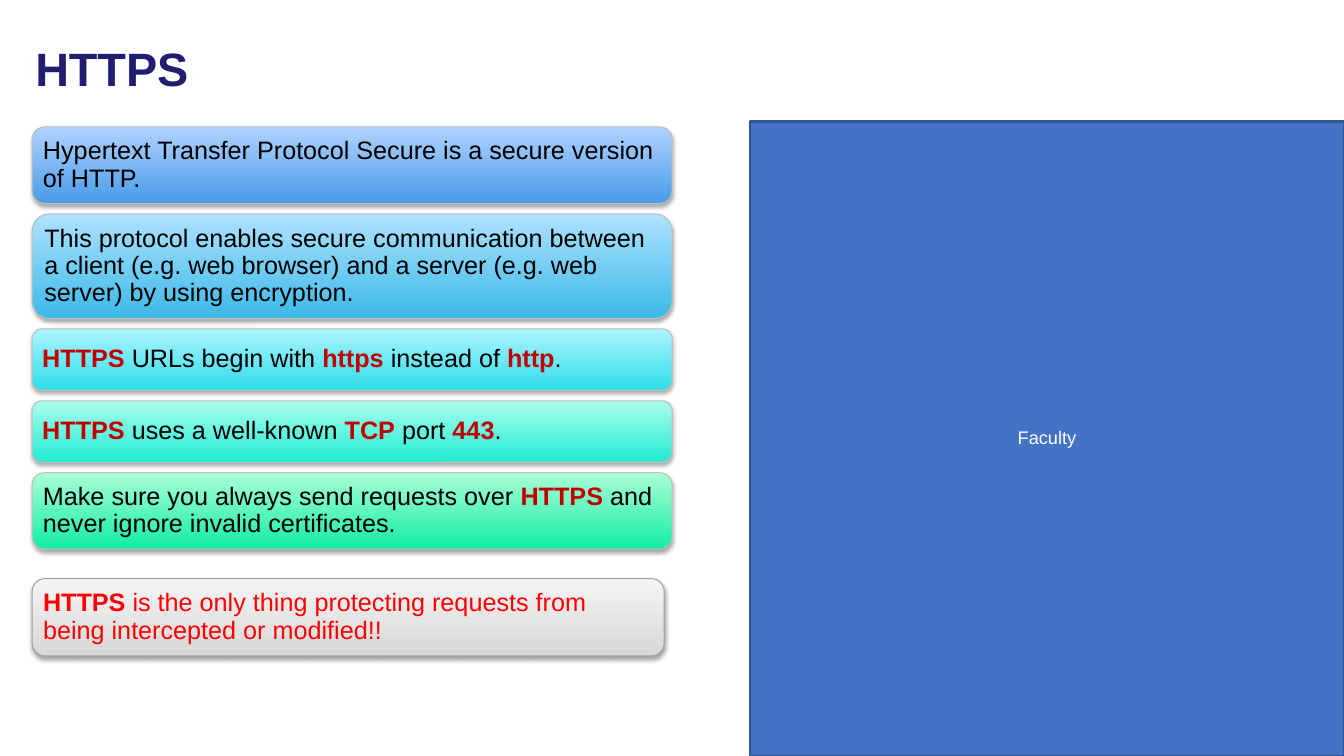
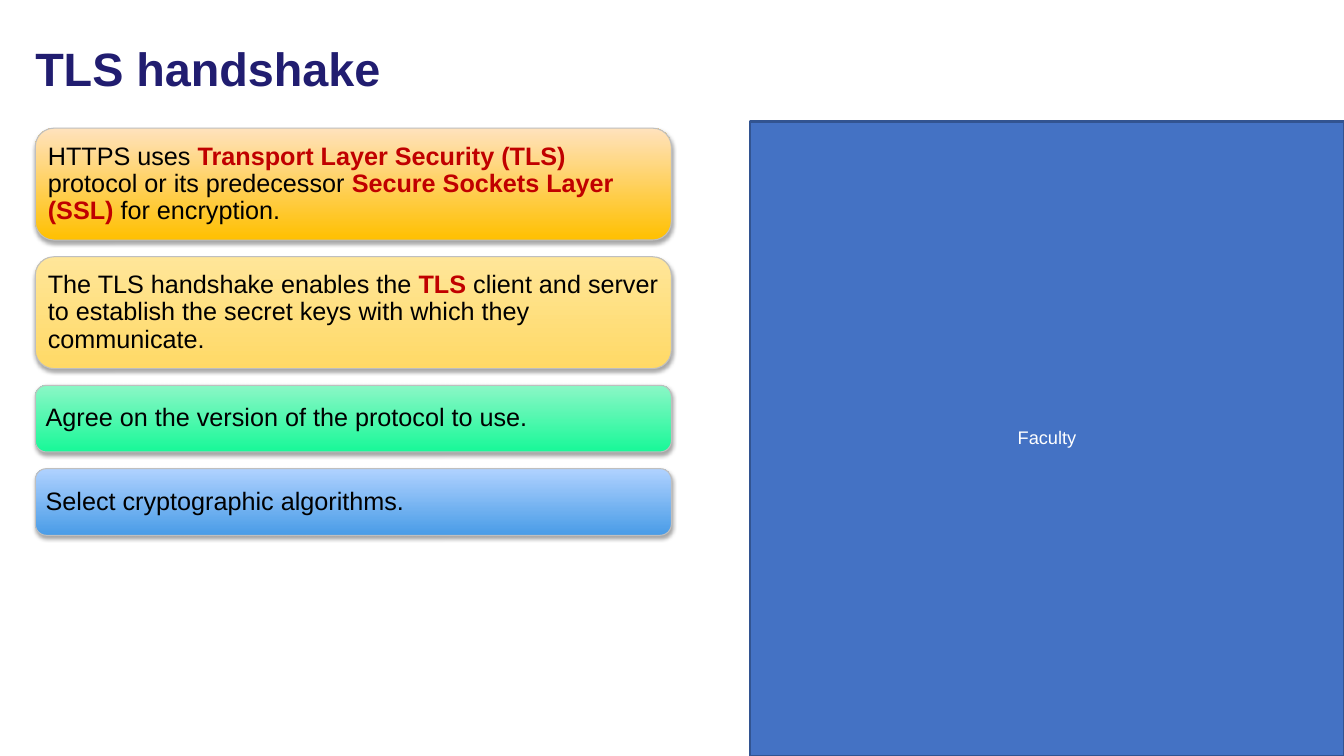
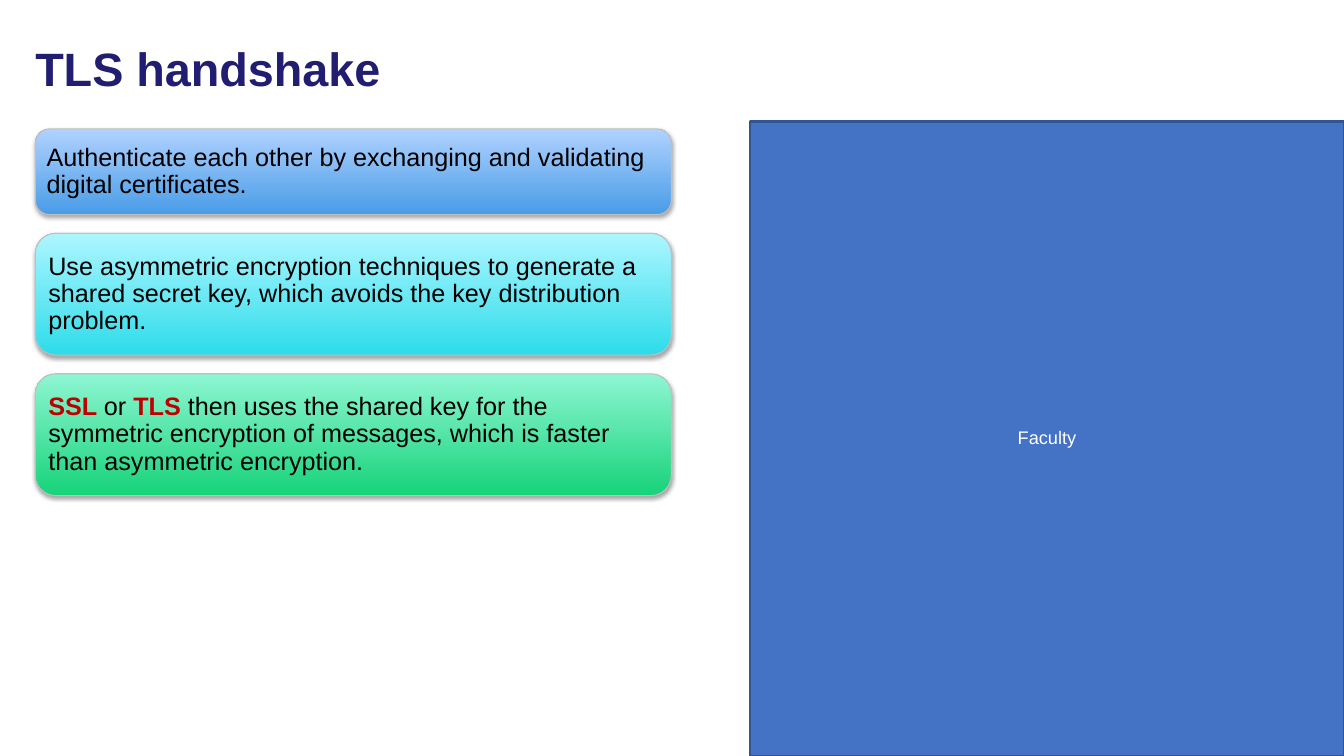
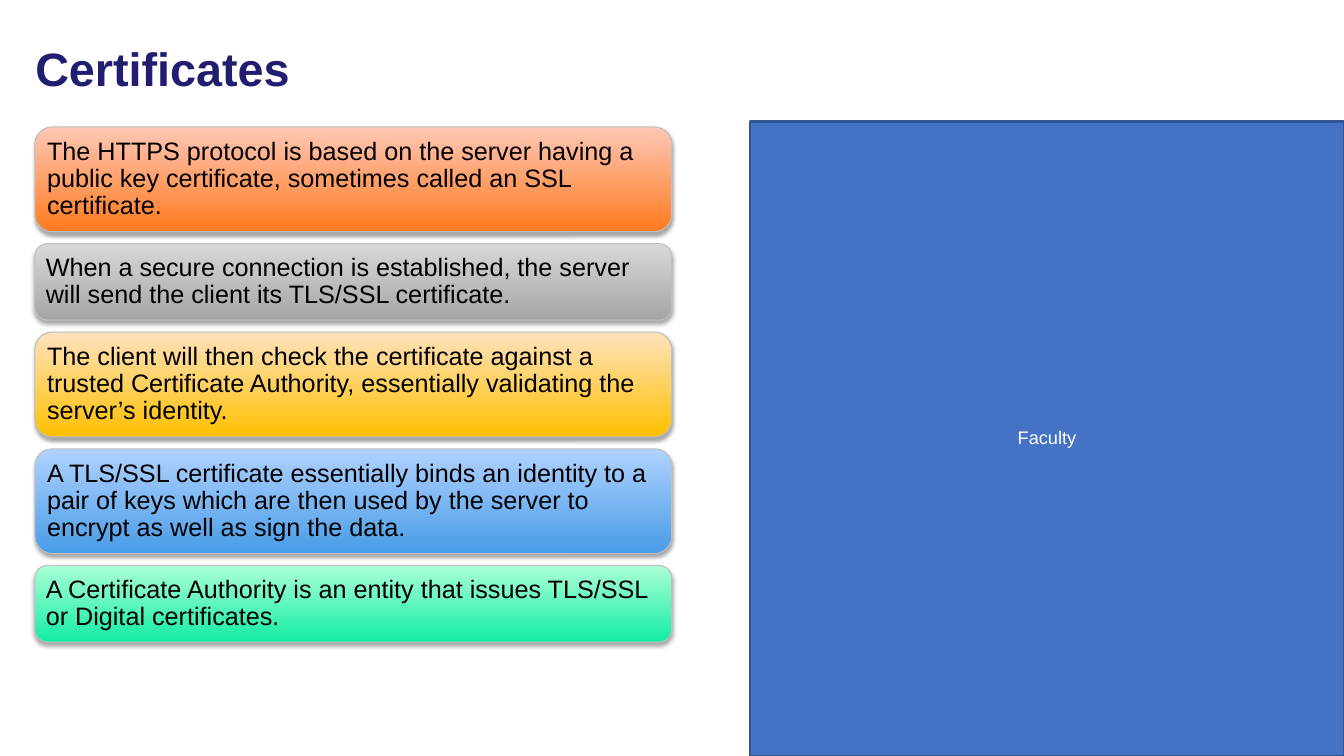
from dataclasses import dataclass

from lxml.etree import SubElement
from pptx import Presentation
from pptx.dml.color import RGBColor
from pptx.enum.shapes import MSO_SHAPE
from pptx.enum.text import MSO_ANCHOR, PP_ALIGN
from pptx.oxml.ns import qn
from pptx.util import Cm, Pt


@dataclass(frozen=True)
class Theme:
    font: str = "Arial"
    # Type sizes
    title_size: float = 33.4
    body_size: float = 18
    panel_size: float = 13
    # Text and line colours
    title: str = "211D70"
    body: str = "000000"
    accent: str = "C00000"
    warning: str = "FF0000"
    white: str = "FFFFFF"
    card_line: str = "BFBFBF"
    callout_line: str = "A1A1A1"
    panel: str = "4472C4"
    panel_line: str = "325491"
    # Card gradients, bottom to top
    blue: tuple = ("499CE7", "B0D2FF")
    sky: tuple = ("3CB9E8", "AEE2FF")
    cyan: tuple = ("2EDCEA", "ACF6FF")
    teal: tuple = ("21EBD1", "ABFFEE")
    mint: tuple = ("13EDA4", "AAFFD6")
    spring: tuple = ("18F898", "8BF7C6")
    green: tuple = ("17D379", "8EF6D3")
    gold: tuple = ("FFC000", "FFE2BD")
    sand: tuple = ("FFD966", "FFE699")
    orange: tuple = ("FF7A1F", "FFC7B6")
    grey: tuple = ("A5A5A5", "D8D8D8")
    silver: tuple = ("D8D8D8", "F4F4F4")


THEME = Theme()


class Deck:
    """Holds the theme and the current slide."""

    def __init__(self, theme):
        self.t = theme
        self.prs = Presentation()
        self.prs.slide_width, self.prs.slide_height = Cm(33.87), Cm(19.05)
        self.s = None

    def slide(self, title):
        self.s = self.prs.slides.add_slide(self.prs.slide_layouts[6])
        self.panel("Faculty")
        self.title(title)

    def run(self, p, text, size, colour, bold=False):
        r = p.add_run()
        r.text = text
        r.font.name, r.font.size, r.font.bold = self.t.font, Pt(size), bold
        r.font.color.rgb = RGBColor.from_string(colour)

    def frame(self, sp, inset_x, inset_y):
        tf = sp.text_frame
        tf.word_wrap = True
        tf.vertical_anchor = MSO_ANCHOR.MIDDLE
        tf.margin_left = tf.margin_right = Cm(inset_x)
        tf.margin_top = tf.margin_bottom = Cm(inset_y)
        p = tf.paragraphs[0]
        p.alignment = PP_ALIGN.LEFT
        p.line_spacing = 0.9
        return p

    def shape(self, kind, left, top, width, height, line, line_width):
        sp = self.s.shapes.add_shape(kind, left, top, width, height)
        sp.shadow.inherit = False
        sp.line.color.rgb = RGBColor.from_string(line)
        sp.line.width = Pt(line_width)
        return sp

    def title(self, text):
        sp = self.s.shapes.add_textbox(Cm(0.64), Cm(0.64), Cm(30), Cm(2.31))
        p = self.frame(sp, 0.25, 0.13)
        self.run(p, text, self.t.title_size, self.t.title, True)

    def panel(self, text):
        left, top = Cm(18.9), Cm(3.07)
        sp = self.shape(MSO_SHAPE.RECTANGLE, left, top,
                        self.prs.slide_width - left,
                        self.prs.slide_height - top, self.t.panel_line, 2)
        sp.fill.solid()
        sp.fill.fore_color.rgb = RGBColor.from_string(self.t.panel)
        p = self.frame(sp, 0.25, 0.13)
        p.alignment = PP_ALIGN.CENTER
        self.run(p, text, self.t.panel_size, self.t.white)

    def shadow(self, sp):
        effects = sp.element.spPr.find(qn("a:effectLst"))
        outer = SubElement(effects, qn("a:outerShdw"), blurRad=str(Pt(3.1)),
                           dist=str(Pt(1.8)), dir="5400000", rotWithShape="0")
        black = SubElement(outer, qn("a:srgbClr"), val="000000")
        SubElement(black, qn("a:alpha"), val="35000")

    def card(self, left, top, width, height, gradient, text,
             body=None, accent=None, line=None):
        """Rounded card; text between ** marks is bold in the accent colour."""
        sp = self.shape(MSO_SHAPE.ROUNDED_RECTANGLE, Cm(left), Cm(top),
                        Cm(width), Cm(height), line or self.t.card_line, 0.75)
        sp.fill.gradient()
        sp.fill.gradient_angle = 90
        for stop, colour in zip(sp.fill.gradient_stops, gradient):
            stop.color.rgb = RGBColor.from_string(colour)
        self.shadow(sp)
        p = self.frame(sp, 0.18, 0.18)
        colours = (body or self.t.body, accent or self.t.accent)
        for i, part in enumerate(text.split("**")):
            if part:
                strong = i % 2
                self.run(p, part, self.t.body_size, colours[strong], bool(strong))

    def stack(self, left, top, width, gap, cards):
        for height, gradient, text in cards:
            self.card(left, top, width, height, gradient, text)
            top += height + gap

    def callout(self, left, top, width, height, text):
        self.card(left, top, width, height, self.t.silver, text,
                  self.t.warning, self.t.warning, self.t.callout_line)


def main():
    t = THEME
    deck = Deck(t)

    # HTTPS
    deck.slide("HTTPS")
    deck.stack(0.81, 3.2, 16.13, 0.26, [
        (1.93, t.blue, "Hypertext Transfer Protocol Secure is a secure version "
                       "of HTTP."),
        (2.64, t.sky, "This protocol enables secure communication between a "
                      "client (e.g. web browser) and a server (e.g. web server) "
                      "by using encryption."),
        (1.55, t.cyan, "**HTTPS** URLs begin with **https** instead of **http**."),
        (1.55, t.teal, "**HTTPS** uses a well-known **TCP** port **443**."),
        (1.93, t.mint, "Make sure you always send requests over **HTTPS** and "
                       "never ignore invalid certificates."),
    ])
    deck.callout(0.81, 14.58, 15.93, 1.95,
                 "**HTTPS** is the only thing protecting requests from being "
                 "intercepted or modified!!")

    # TLS handshake: purpose and first steps
    deck.slide("TLS handshake")
    deck.stack(0.89, 3.23, 16.03, 0.42, [
        (2.82, t.gold, "HTTPS uses **Transport Layer Security (TLS) **protocol "
                       "or its predecessor **Secure Sockets Layer (SSL)** for "
                       "encryption."),
        (2.82, t.sand, "The TLS handshake enables the **TLS** client and server "
                       "to establish the secret keys with which they "
                       "communicate."),
        (1.68, t.spring, "Agree on the version of the protocol to use."),
        (1.68, t.blue, "Select cryptographic algorithms."),
    ])

    # TLS handshake: authentication and keys
    deck.slide("TLS handshake")
    deck.stack(0.89, 3.25, 16.03, 0.47, [
        (2.16, t.blue, "Authenticate each other by exchanging and validating "
                       "digital certificates."),
        (3.07, t.cyan, "Use asymmetric encryption techniques to generate a "
                       "shared secret key, which avoids the key distribution "
                       "problem."),
        (3.07, t.green, "**SSL **or **TLS** then uses the shared key for the "
                        "symmetric encryption of messages, which is faster than "
                        "asymmetric encryption."),
    ])

    # Certificates
    deck.slide("Certificates")
    deck.stack(0.88, 3.2, 16.05, 0.3, [
        (2.64, t.orange, "The HTTPS protocol is based on the server having a "
                         "public key certificate, sometimes called an SSL "
                         "certificate."),
        (1.93, t.grey, "When a secure connection is established, the server "
                       "will send the client its TLS/SSL certificate."),
        (2.64, t.gold, "The client will then check the certificate against a "
                       "trusted Certificate Authority, essentially validating "
                       "the server’s identity."),
        (2.64, t.blue, "A TLS/SSL certificate essentially binds an identity to "
                       "a pair of keys which are then used by the server to "
                       "encrypt as well as sign the data."),
        (1.93, t.mint, "A Certificate Authority is an entity that issues "
                       "TLS/SSL or Digital certificates."),
    ])

    deck.prs.save("out.pptx")


if __name__ == "__main__":
    main()
